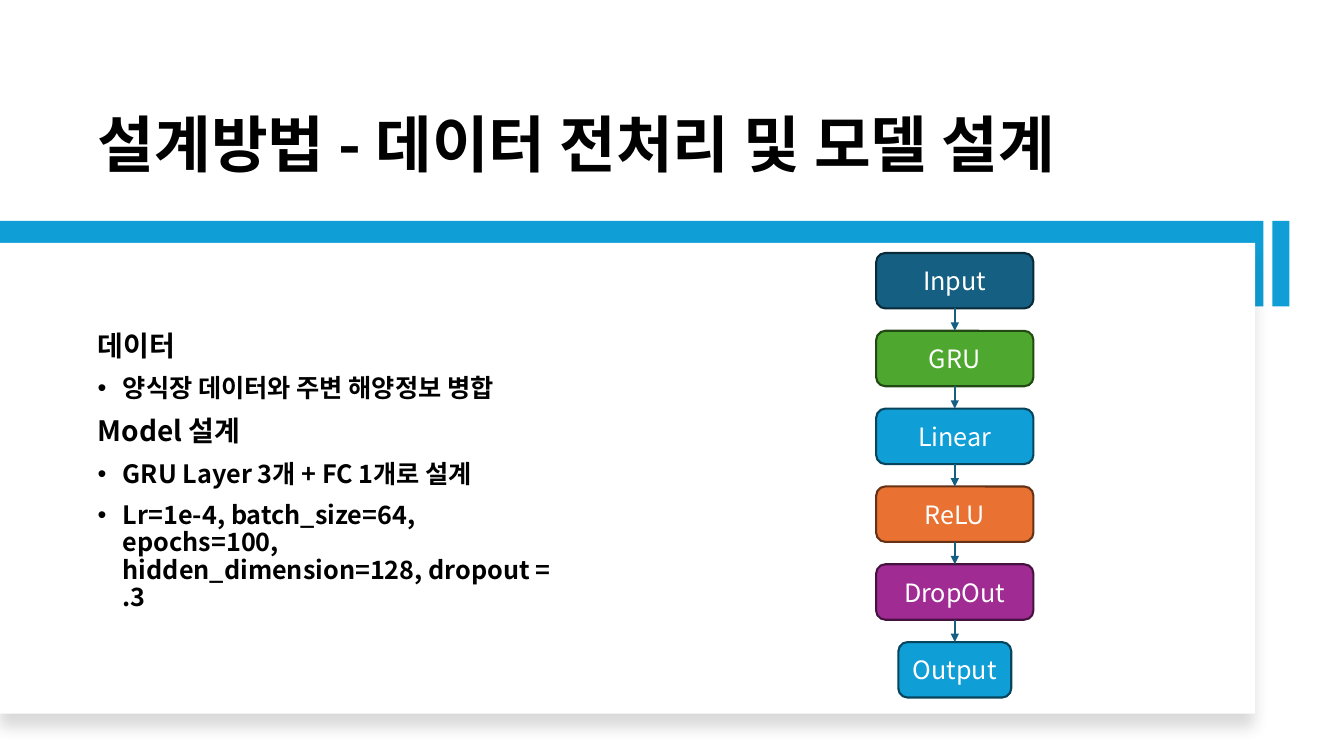
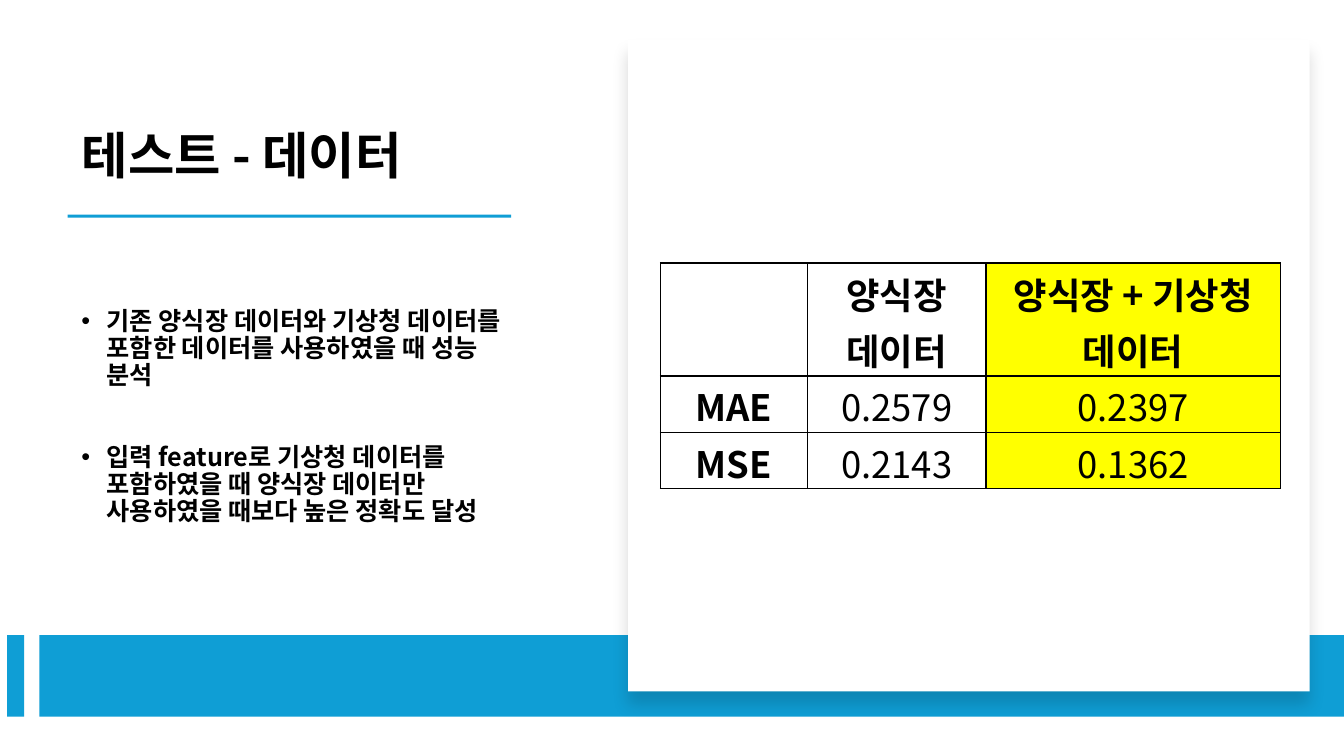
import pptx
import pptx.util
import pptx.dml.color
import pptx.enum.shapes
import pptx.enum.text
import pptx.oxml
import pptx.oxml.ns
from dataclasses import dataclass
from lxml import etree

Inches, Pt = pptx.util.Inches, pptx.util.Pt
SHAPE = pptx.enum.shapes.MSO_SHAPE
ANCHOR = pptx.enum.text.MSO_ANCHOR
ALIGN = pptx.enum.text.PP_ALIGN
qn = pptx.oxml.ns.qn


@dataclass(frozen=True)
class Theme:
    font: str = "Noto Sans CJK KR"
    ink: str = "000000"
    white: str = "FFFFFF"
    accent: str = "0F9ED5"
    navy: str = "156082"
    highlight: str = "FFFF00"
    heading: int = 20
    body: int = 18
    table: int = 26
    text_spacing: float = 0.9
    table_spacing: float = 1.07


T = Theme()

# Content
DESIGN_TITLE = "설계방법 - 데이터 전처리 및 모델 설계"
DESIGN_TEXT = [  # text, bulleted, space before
    ("데이터", False, 0),
    ("양식장 데이터와 주변 해양정보 병합", True, 10),
    ("Model 설계", False, 10),
    ("GRU Layer 3개 + FC 1개로 설계", True, 10),
    ("Lr=1e-4, batch_size=64, epochs=100, hidden_dimension=128, dropout = .3", True, 10),
]
LAYERS = [  # label, fill, outline, width
    ("Input", T.navy, "092A39", 1.56),
    ("GRU", "4EA72E", "224914", 1.56),
    ("Linear", T.accent, "07455D", 1.56),
    ("ReLU", "E97132", "663216", 1.56),
    ("DropOut", "A02B93", "461340", 1.56),
    ("Output", T.accent, "07455D", 1.12),
]
TEST_TITLE = "테스트 - 데이터"
TEST_TEXT = [
    ("기존 양식장 데이터와 기상청 데이터를 포함한 데이터를 사용하였을 때 성능 분석", True, 0),
    ("입력 feature로 기상청 데이터를 포함하였을 때 양식장 데이터만 사용하였을 때보다 높은 정확도 달성",
     True, 39),
]
SCORES = [
    ["", "양식장 데이터", "양식장 + 기상청 데이터"],
    ["MAE", "0.2579", "0.2397"],
    ["MSE", "0.2143", "0.1362"],
]
SCORE_COLS = [1.46, 1.77, 2.92]
SCORE_ROWS = [1.12, 0.56, 0.56]


# Helpers
def rgb(value):
    return pptx.dml.color.RGBColor.from_string(value)


def box(left, top, width, height):
    return [Inches(v) for v in (left, top, width, height)]


def write(p, text, size=T.body, color=T.ink, bold=False, align=ALIGN.LEFT,
          spacing=None, before=0, after=0, bullet=False):
    p.alignment = align
    p.space_before, p.space_after = Pt(before), Pt(after)
    if spacing:
        p.line_spacing = spacing
    if bullet:
        pPr = p._p.get_or_add_pPr()
        pPr.set("marL", str(Inches(0.25)))
        pPr.set("indent", str(-Inches(0.25)))
        etree.SubElement(pPr, qn("a:buFont"), typeface="Arial")
        etree.SubElement(pPr, qn("a:buChar"), char="•")
    r = p.add_run()
    r.text = text
    r.font.size, r.font.bold, r.font.name = Pt(size), bold, T.font
    r.font.color.rgb = rgb(color)
    etree.SubElement(r._r.get_or_add_rPr(), qn("a:ea"), typeface=T.font)


def add_shape(s, place, fill, kind=SHAPE.RECTANGLE, line=None):
    sp = s.shapes.add_shape(kind, *box(*place))
    sp.shadow.inherit = False
    sp.fill.solid()
    sp.fill.fore_color.rgb = rgb(fill)
    if line:
        sp.line.color.rgb = rgb(line)
        sp.line.width = Pt(1.5)
    else:
        sp.line.fill.background()
    return sp


def add_card(s, place):
    """White panel with a soft shadow below it."""
    sp = add_shape(s, place, T.white)
    effects = sp._element.spPr.find(qn("a:effectLst"))
    shadow = etree.SubElement(effects, qn("a:outerShdw"), blurRad=str(Pt(11)),
                              dist=str(Pt(10)), dir="5400000", algn="t", rotWithShape="0")
    color = etree.SubElement(shadow, qn("a:srgbClr"), val=T.ink)
    etree.SubElement(color, qn("a:alpha"), val="15000")


def add_slide(prs, title, place, size):
    s = prs.slides.add_slide(prs.slide_layouts[5])
    sp = s.shapes.title
    sp.left, sp.top, sp.width, sp.height = box(*place)
    tf = sp.text_frame
    tf.auto_size = pptx.enum.text.MSO_AUTO_SIZE.NONE
    tf.vertical_anchor = ANCHOR.BOTTOM
    write(tf.paragraphs[0], title, size=size, bold=True, spacing=T.text_spacing)
    return s


def add_body(s, place, items):
    tf = s.shapes.add_textbox(*box(*place)).text_frame
    tf.word_wrap = True
    tf.vertical_anchor = ANCHOR.MIDDLE
    for i, (text, bullet, before) in enumerate(items):
        p = tf.add_paragraph() if i else tf.paragraphs[0]
        write(p, text, size=T.body if bullet else T.heading, bold=True,
              spacing=T.text_spacing, before=before, bullet=bullet)


def add_arrow(s, start, end):
    c = s.shapes.add_connector(pptx.enum.shapes.MSO_CONNECTOR.STRAIGHT, 0, 0, 0, 0)
    c.begin_connect(start, 2)
    c.end_connect(end, 0)
    c.line.color.rgb = rgb(T.navy)
    c.line.width = Pt(1.5)
    etree.SubElement(c.line._get_or_add_ln(), qn("a:tailEnd"), type="triangle")
    etree.SubElement(c._element.spPr, qn("a:effectLst"))


def add_flow(s, center, first_top, last_top, height):
    pitch = (last_top - first_top) / (len(LAYERS) - 1)
    previous = None
    for i, (label, fill, line, width) in enumerate(LAYERS):
        place = (center - width / 2, first_top + i * pitch, width, height)
        sp = add_shape(s, place, fill, SHAPE.ROUNDED_RECTANGLE, line)
        sp.text_frame.vertical_anchor = ANCHOR.MIDDLE
        write(sp.text_frame.paragraphs[0], label, color=T.white, align=ALIGN.CENTER)
        if previous is not None:
            add_arrow(s, previous, sp)
        previous = sp


def set_border(cell, side, width):
    ln = etree.SubElement(cell._tc.get_or_add_tcPr(), qn("a:ln" + side), w=str(Pt(width)))
    fill = etree.SubElement(ln, qn("a:solidFill"))
    etree.SubElement(fill, qn("a:srgbClr"), val=T.ink)


def add_scores(s, left, top):
    place = box(left, top, sum(SCORE_COLS), sum(SCORE_ROWS))
    table = s.shapes.add_table(len(SCORES), len(SCORE_COLS), *place).table
    table.first_row = table.horz_banding = False
    for column, width in zip(table.columns, SCORE_COLS):
        column.width = Inches(width)
    for row, height in zip(table.rows, SCORE_ROWS):
        row.height = Inches(height)
    for i, texts in enumerate(SCORES):
        for j, text in enumerate(texts):
            cell = table.cell(i, j)
            cell.vertical_anchor = ANCHOR.MIDDLE
            cell.margin_left = cell.margin_right = Inches(0.19)
            cell.margin_top = cell.margin_bottom = 0
            for side in "LRTB":
                under_header = (i, side) in ((0, "B"), (1, "T"))
                set_border(cell, side, 2 if under_header else 1)
            if j == 2:
                cell.fill.solid()
                cell.fill.fore_color.rgb = rgb(T.highlight)
            else:
                cell.fill.background()
            if text:
                write(cell.text_frame.paragraphs[0], text, size=T.table,
                      bold=i == 0 or j == 0, align=ALIGN.CENTER,
                      spacing=T.table_spacing, after=8)


# Slides
def design_slide(prs):
    s = add_slide(prs, DESIGN_TITLE, (0.87, 0.42, 11.01, 1.42), 44)
    add_shape(s, (0, 2.19, 12.53, 0.85), T.accent)
    add_card(s, (0, 2.41, 12.45, 4.67))
    add_shape(s, (12.62, 2.19, 0.17, 0.85), T.accent)
    add_body(s, (0.87, 2.84, 4.86, 3.68), DESIGN_TEXT)
    add_flow(s, center=9.47, first_top=2.51, last_top=6.37, height=0.55)


def test_slide(prs):
    s = add_slide(prs, TEST_TITLE, (0.71, 0.58, 4.68, 1.31), 36)
    add_shape(s, (0.67, 2.13, 4.4, 0.03), T.accent)
    add_body(s, (0.71, 2.22, 4.58, 3.84), TEST_TEXT)
    add_shape(s, (0.07, 6.3, 0.17, 0.81), T.accent)
    add_shape(s, (0.39, 6.3, 12.94, 0.81), T.accent)
    add_card(s, (6.23, 0.39, 6.76, 6.47))
    add_scores(s, 6.55, 2.61)


def main():
    prs = pptx.Presentation()
    prs.slide_width, prs.slide_height = Inches(13.33), Inches(7.5)
    design_slide(prs)
    test_slide(prs)
    prs.save("out.pptx")


if __name__ == "__main__":
    main()
